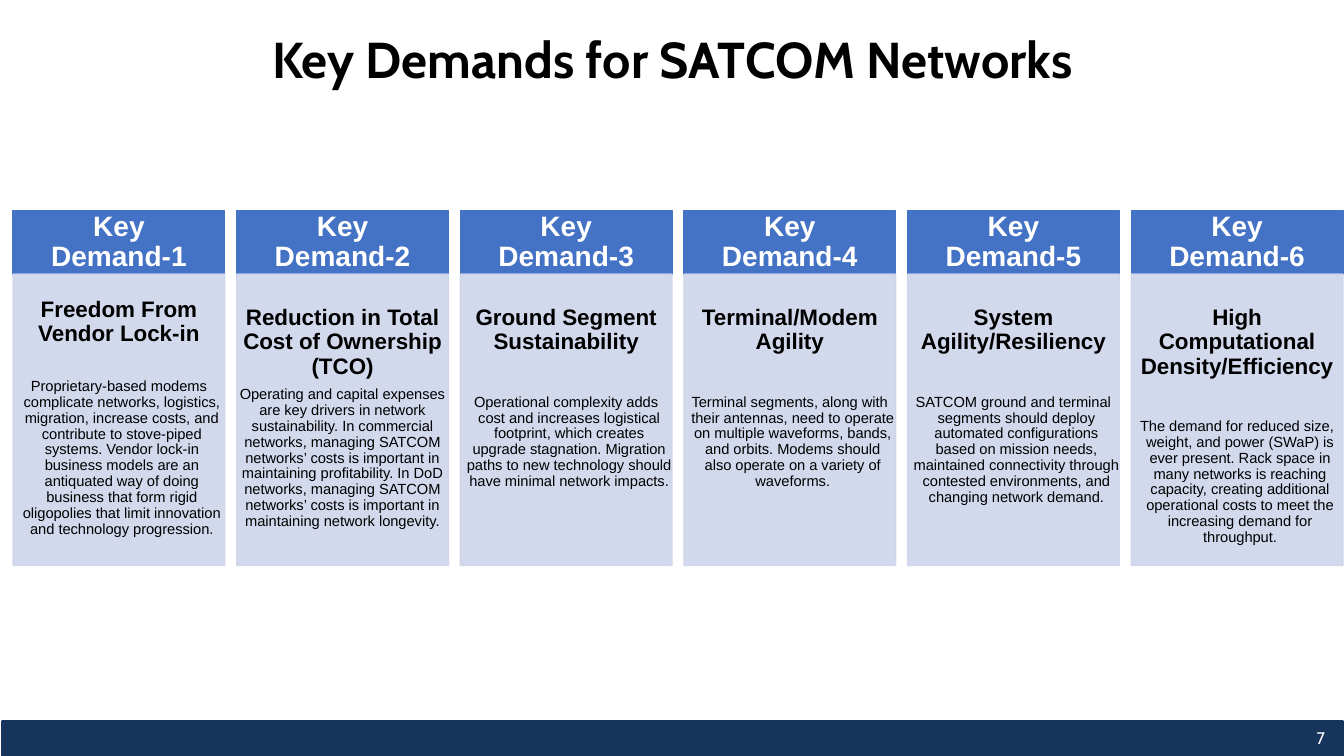
from dataclasses import dataclass

from lxml.etree import SubElement
from pptx import Presentation
from pptx.dml.color import RGBColor
from pptx.enum.shapes import MSO_SHAPE
from pptx.enum.text import MSO_ANCHOR, PP_ALIGN
from pptx.oxml.ns import qn
from pptx.shapes.autoshape import Shape
from pptx.slide import Slide
from pptx.text.text import TextFrame
from pptx.util import Inches, Pt

NAVY = RGBColor(0x17, 0x34, 0x5D)
BLUE = RGBColor(0x44, 0x72, 0xC4)
PALE = RGBColor(0xCF, 0xD5, 0xEA)
BLACK = RGBColor(0, 0, 0)
WHITE = RGBColor(255, 255, 255)

LEFT, LAST_LEFT, COL_W = 0.13, 11.22, 2.1
HEAD_TOP, HEAD_H, BODY_H = 2.09, 0.63, 2.89


@dataclass(frozen=True)
class Demand:
    heading: str
    detail: str
    top_inset: float = 0.32
    gap: float = 28.4
    hanging: float = 0.06


DEMANDS = [
    Demand(
        "Freedom From Vendor Lock-in",
        "Proprietary-based modems complicate networks, logistics, migration, "
        "increase costs, and contribute to stove-piped systems. Vendor lock-in "
        "business models are an antiquated way of doing business that form rigid "
        "oligopolies that limit innovation and technology progression.",
        top_inset=0.24,
        gap=22.9,
    ),
    Demand(
        "Reduction in Total Cost of Ownership (TCO)",
        "Operating and capital expenses are key drivers in network sustainability. "
        "In commercial networks, managing SATCOM networks’ costs is important in "
        "maintaining profitability. In DoD networks, managing SATCOM networks’ "
        "costs is important in maintaining network longevity.",
        gap=5.6,
        hanging=0,
    ),
    Demand(
        "Ground Segment Sustainability",
        "Operational complexity adds cost and increases logistical footprint, "
        "which creates upgrade stagnation. Migration paths to new technology "
        "should have minimal network impacts.",
    ),
    Demand(
        "Terminal/Modem Agility",
        "Terminal segments, along with their antennas, need to operate on multiple "
        "waveforms, bands, and orbits. Modems should also operate on a variety of "
        "waveforms.",
    ),
    Demand(
        "System Agility/Resiliency",
        "SATCOM ground and terminal segments should deploy automated configurations "
        "based on mission needs, maintained connectivity through contested "
        "environments, and changing network demand.",
    ),
    Demand(
        "High Computational Density/Efficiency",
        "The demand for reduced size, weight, and power (SWaP) is ever present. "
        "Rack space in many networks is reaching capacity, creating additional "
        "operational costs to meet the increasing demand for throughput.",
    ),
]


def add_text(tf: TextFrame, text: str, *, size: float, color: RGBColor = BLACK,
             font: str = "Arial", bold: bool = False,
             align: PP_ALIGN = PP_ALIGN.CENTER, spacing: float = 0.9,
             before: float = 0, hanging: float = 0) -> None:
    p = tf.paragraphs[0] if not tf.text else tf.add_paragraph()
    p.alignment = align
    p.line_spacing = spacing
    if before:
        p.space_before = Pt(before)
    if hanging:
        pPr = p._p.get_or_add_pPr()
        pPr.set("marL", str(Inches(hanging)))
        pPr.set("indent", str(-Inches(hanging)))
    r = p.add_run()
    r.text = text
    r.font.size = Pt(size)
    r.font.name = font
    r.font.bold = bold
    r.font.color.rgb = color


def set_frame(tf: TextFrame, anchor: MSO_ANCHOR, side: float, top: float,
              bottom: float) -> None:
    tf.word_wrap = True
    tf.vertical_anchor = anchor
    tf.margin_left = tf.margin_right = Inches(side)
    tf.margin_top, tf.margin_bottom = Inches(top), Inches(bottom)


def add_box(s: Slide, x: float, y: float, w: float, h: float, color: RGBColor,
            line_width: float = 1, opacity: int = 100) -> Shape:
    sp = s.shapes.add_shape(MSO_SHAPE.RECTANGLE, Inches(x), Inches(y), Inches(w), Inches(h))
    sp.shadow.inherit = False
    sp.fill.solid()
    sp.fill.fore_color.rgb = color
    sp.line.color.rgb = color
    sp.line.width = Pt(line_width)
    if opacity < 100:
        for clr in sp._element.spPr.iter(qn("a:srgbClr")):
            SubElement(clr, qn("a:alpha"), val=str(opacity * 1000))
    return sp


def add_label(s: Slide, x: float, y: float, w: float, h: float) -> TextFrame:
    tf = s.shapes.add_textbox(Inches(x), Inches(y), Inches(w), Inches(h)).text_frame
    set_frame(tf, MSO_ANCHOR.MIDDLE, 0.1, 0.05, 0.05)
    return tf


def add_demand(s: Slide, number: int, x: float, demand: Demand) -> None:
    head = add_box(s, x, HEAD_TOP, COL_W, HEAD_H, BLUE).text_frame
    set_frame(head, MSO_ANCHOR.MIDDLE, 0.17, 0.17, 0.17)
    add_text(head, f"Key Demand-{number}", size=20, color=WHITE, bold=True)

    body = add_box(s, x, HEAD_TOP + HEAD_H, COL_W, BODY_H, PALE, opacity=90).text_frame
    set_frame(body, MSO_ANCHOR.TOP, 0, demand.top_inset, 0)
    add_text(body, demand.heading, size=16, bold=True)
    add_text(body, demand.detail, size=10.5, before=demand.gap, hanging=demand.hanging)


def main() -> None:
    prs = Presentation()
    prs.slide_width, prs.slide_height = Inches(13.33), Inches(7.5)
    s = prs.slides.add_slide(prs.slide_layouts[6])

    add_box(s, 0.02, 7.16, 13.3, 0.36, NAVY, line_width=2)
    title = add_label(s, 0.92, 0.3, 11.5, 0.63)
    add_text(title, "Key Demands for SATCOM Networks", size=36, font="Cabin", bold=True)

    pitch = (LAST_LEFT - LEFT) / (len(DEMANDS) - 1)
    for i, demand in enumerate(DEMANDS):
        add_demand(s, i + 1, LEFT + i * pitch, demand)

    page = add_label(s, 12.52, 7.12, 0.72, 0.4)
    add_text(page, "7", size=12, color=WHITE, font="Cabin", align=PP_ALIGN.RIGHT, spacing=1.0)

    prs.save("out.pptx")


if __name__ == "__main__":
    main()
